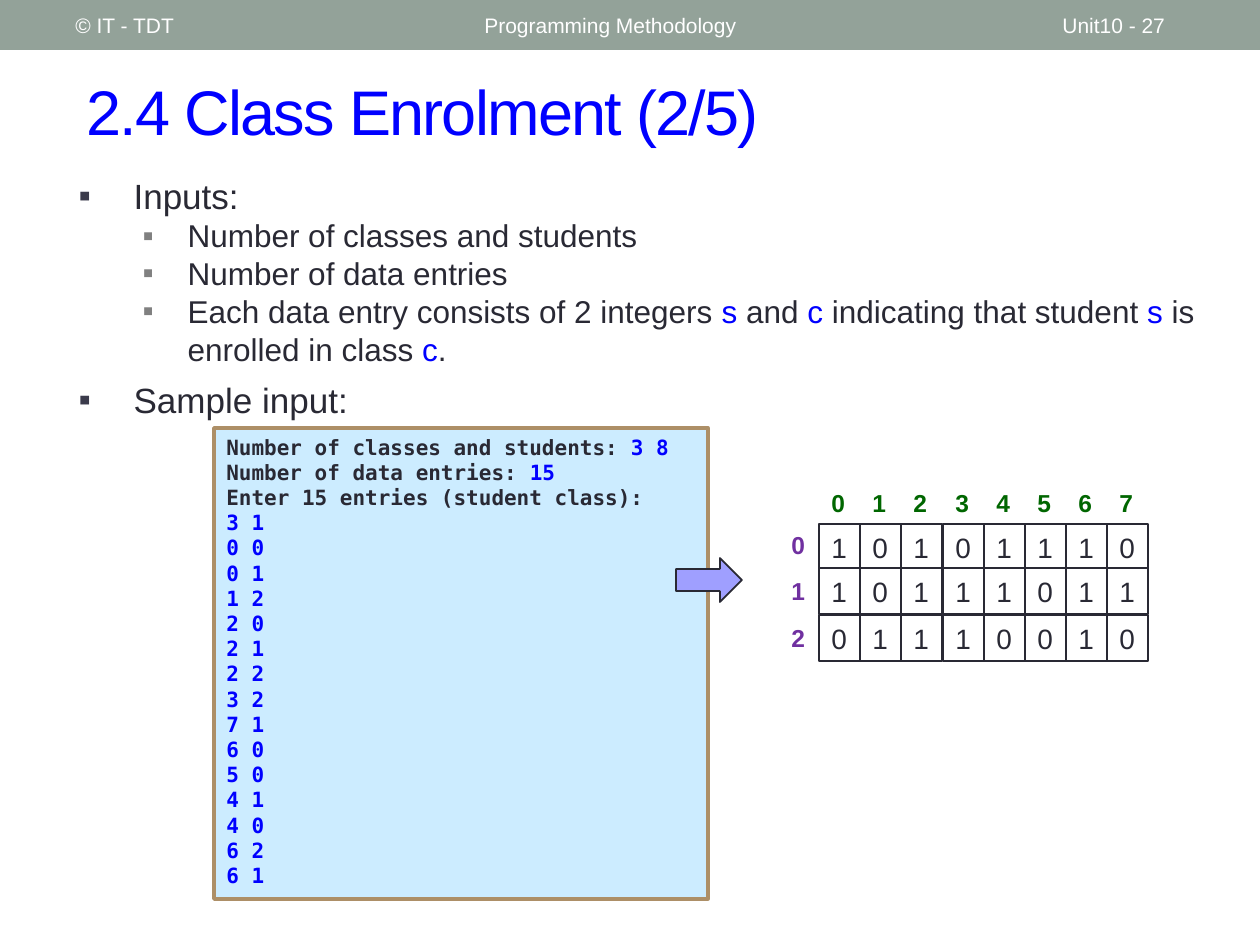
"""Build the class enrolment slide with sample input and its matrix."""
import dataclasses

import pptx
import pptx.dml.color
import pptx.enum.shapes
import pptx.enum.text
import pptx.oxml.ns
import pptx.util
from lxml import etree

SCALE = 914400 / 126
SHAPES = pptx.enum.shapes.MSO_SHAPE
ANCHORS = pptx.enum.text.MSO_ANCHOR


@dataclasses.dataclass(frozen=True)
class Theme:
    """Colours, fonts and type sizes of the slide."""

    ink: str = "292934"
    blue: str = "0000FF"
    white: str = "FFFFFF"
    header: str = "93A299"
    code_fill: str = "CCECFF"
    code_line: str = "AD8F67"
    arrow: str = "9F9FFF"
    row_label: str = "7030A0"
    column_label: str = "006600"
    bullets: tuple = ("3B3B4B", "808080")
    body_sizes: tuple = (20, 18)
    title_size: int = 36
    small_size: int = 12
    cell_size: int = 16
    label_size: int = 14
    sans: str = "Arial"
    mono: str = "DejaVu Sans Mono"


THEME = Theme()
HEADERS = [(472, 567, "Programming Methodology"), (1050, 147, "Unit10 - 27"), (63, 399, "© IT - TDT")]
BODY = [
    (0, [("Inputs:", THEME.ink)]),
    (1, [("Number of classes and students", THEME.ink)]),
    (1, [("Number of data entries", THEME.ink)]),
    (1, [
        ("Each data entry consists of 2 integers ", THEME.ink), ("s", THEME.blue),
        (" and ", THEME.ink), ("c", THEME.blue),
        (" indicating that student ", THEME.ink), ("s", THEME.blue),
        (" is enrolled in class ", THEME.ink), ("c", THEME.blue), (".", THEME.ink),
    ]),
    (0, [("Sample input:", THEME.ink)]),
]
PROMPTS = [
    [("Number of classes and students: ", THEME.ink), ("3 8", THEME.blue)],
    [("Number of data entries: ", THEME.ink), ("15", THEME.blue)],
    [("Enter 15 entries (student class):", THEME.ink)],
]
ENTRIES = ["3 1", "0 0", "0 1", "1 2", "2 0", "2 1", "2 2", "3 2",
           "7 1", "6 0", "5 0", "4 1", "4 0", "6 2", "6 1"]
MATRIX = ["10101110", "10111011", "01110010"]
ROW_TOPS = [524, 568, 615]


def px(value):
    """Turn pixels into EMU."""
    return pptx.util.Emu(round(value * SCALE))


def color(value):
    """Turn a hex string into a colour."""
    return pptx.dml.color.RGBColor.from_string(value)


def add_runs(paragraph, runs, size, font=THEME.sans, bold=False):
    """Add (text, colour) runs to a paragraph."""
    for text, run_color in runs:
        run = paragraph.add_run()
        run.text = text
        run.font.name = font
        run.font.size = pptx.util.Pt(size)
        run.font.bold = bold
        run.font.color.rgb = color(run_color)


def paragraphs_of(frame, count):
    """Yield the given number of paragraphs of a text frame."""
    for index in range(count):
        yield frame.add_paragraph() if index else frame.paragraphs[0]


def add_box(shapes, kind, box, fill, line=None, width=1):
    """Add a filled preset shape with an optional outline."""
    shape = shapes.add_shape(kind, *map(px, box))
    shape.shadow.inherit = False
    shape.fill.solid()
    shape.fill.fore_color.rgb = color(fill)
    if line:
        shape.line.color.rgb = color(line)
        shape.line.width = pptx.util.Pt(width)
    else:
        shape.line.fill.background()
    shape.text_frame.vertical_anchor = ANCHORS.TOP
    shape.text_frame.paragraphs[0].alignment = pptx.enum.text.PP_ALIGN.LEFT
    return shape


def add_label(shapes, box, text, text_color, size, bold=False, anchor=ANCHORS.TOP):
    """Add a one-line text box."""
    frame = shapes.add_textbox(*map(px, box)).text_frame
    frame.word_wrap = True
    frame.vertical_anchor = anchor
    add_runs(frame.paragraphs[0], [(text, text_color)], size, bold=bold)


def place(placeholder, box, anchor):
    """Move a placeholder and return its text frame."""
    placeholder.left, placeholder.top, placeholder.width, placeholder.height = map(px, box)
    frame = placeholder.text_frame
    frame.auto_size = pptx.enum.text.MSO_AUTO_SIZE.NONE
    frame.word_wrap = True
    frame.vertical_anchor = anchor
    return frame


def set_bullet(paragraph, level):
    """Give a paragraph its square bullet and hanging indent."""
    margin, hanging = ((55, 55), (109, 45))[level]
    properties = paragraph._p.get_or_add_pPr()
    properties.set("marL", str(px(margin)))
    properties.set("indent", str(px(-hanging)))
    bullet_color = etree.SubElement(properties, pptx.oxml.ns.qn("a:buClr"))
    etree.SubElement(bullet_color, pptx.oxml.ns.qn("a:srgbClr"), val=THEME.bullets[level])
    etree.SubElement(properties, pptx.oxml.ns.qn("a:buFont"), typeface=THEME.sans)
    etree.SubElement(properties, pptx.oxml.ns.qn("a:buChar"), char="▪")


def add_header(slide):
    """Add the header bar and its three texts."""
    add_box(slide.shapes, SHAPES.RECTANGLE, (0, 0, 1260, 50), THEME.header)
    for left, width, text in HEADERS:
        add_label(slide.shapes, (left, 3, width, 45), text, THEME.white,
                  THEME.small_size, anchor=ANCHORS.MIDDLE)


def add_title(slide, text):
    """Fill the title placeholder."""
    frame = place(slide.shapes.title, (74, 52, 1155, 116), ANCHORS.MIDDLE)
    paragraph = frame.paragraphs[0]
    paragraph.alignment = pptx.enum.text.PP_ALIGN.LEFT
    add_runs(paragraph, [(text, THEME.blue)], THEME.title_size)
    paragraph.runs[0].font._element.set("spc", "-100")


def add_body(slide):
    """Fill the body placeholder with the bulleted list."""
    frame = place(slide.placeholders[1], (66, 168, 1163, 277), ANCHORS.TOP)
    for paragraph, (level, runs) in zip(paragraphs_of(frame, len(BODY)), BODY):
        paragraph.level = level
        paragraph.line_spacing = 1.0
        paragraph.space_before = pptx.util.Pt(0 if level else 6)
        set_bullet(paragraph, level)
        add_runs(paragraph, runs, THEME.body_sizes[level])


def add_sample_input(slide):
    """Add the sample input panel and the arrow leaving it."""
    panel = add_box(slide.shapes, SHAPES.RECTANGLE, (214, 428, 494, 471),
                    THEME.code_fill, THEME.code_line, 2.08)
    lines = PROMPTS + [[(entry, THEME.blue)] for entry in ENTRIES]
    for paragraph, runs in zip(paragraphs_of(panel.text_frame, len(lines)), lines):
        paragraph.alignment = pptx.enum.text.PP_ALIGN.LEFT
        paragraph.line_spacing = 1.0
        add_runs(paragraph, runs, THEME.small_size, THEME.mono, bold=True)
    add_box(slide.shapes, SHAPES.RIGHT_ARROW, (676, 558, 66, 44), THEME.arrow, THEME.ink)


def add_matrix(slide):
    """Add the enrolment matrix with its row and column labels."""
    shapes = slide.shapes.add_group_shape().shapes
    lefts = [round(819 + 41.2 * column) for column in range(len(MATRIX[0]))]
    for row, (top, values) in enumerate(zip(ROW_TOPS, MATRIX)):
        for left, value in zip(lefts, values):
            cell = add_box(shapes, SHAPES.RECTANGLE, (left, top, 41, 46),
                           THEME.white, THEME.ink, 0.75)
            add_runs(cell.text_frame.paragraphs[0], [(value, THEME.ink)], THEME.cell_size)
        add_label(shapes, (779, round(524 + 46.5 * row), 41, 43), str(row),
                  THEME.row_label, THEME.label_size, bold=True)
    for column, left in enumerate(lefts):
        add_label(shapes, (left, 482, 41, 43), str(column),
                  THEME.column_label, THEME.label_size, bold=True)


def main():
    """Build and save the slide."""
    presentation = pptx.Presentation()
    presentation.slide_width, presentation.slide_height = px(1260), px(945)
    slide = presentation.slides.add_slide(presentation.slide_layouts[1])
    add_header(slide)
    add_title(slide, "2.4 Class Enrolment (2/5)")
    add_body(slide)
    add_sample_input(slide)
    add_matrix(slide)
    presentation.save("out.pptx")


main()
